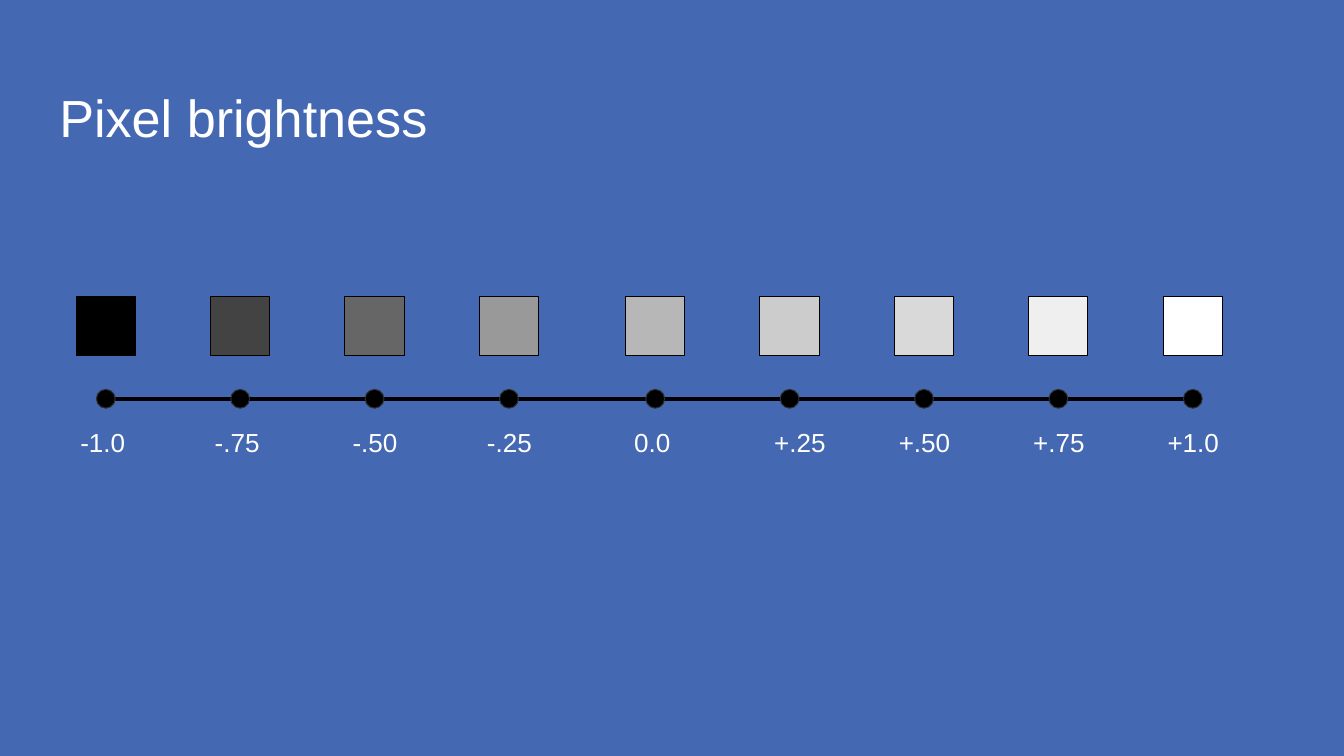
from pptx import Presentation
from pptx.dml.color import RGBColor
from pptx.enum import shapes, text
from pptx.oxml.ns import qn
from pptx.util import Inches, Pt
from lxml import etree

LEVELS = [
    ("-1.0", "000000", 0.76),
    ("-.75", "434343", 0.76),
    ("-.50", "666666", 0.83),
    ("-.25", "999999", 0.83),
    ("0.0", "B7B7B7", 0.76),
    ("+.25", "CCCCCC", 1.03),
    ("+.50", "D9D9D9", 0.83),
    ("+.75", "EFEFEF", 0.83),
    ("+1.0", "FFFFFF", 0.83),
]
FIRST_CENTER, STEP, MIDDLE_GAP = 1.07, 1.36, 0.12
SWATCH, DOT = 0.6, 0.19
AXIS_Y = 4.035


def color(value):
    return RGBColor.from_string(value)


def level_center(i):
    return FIRST_CENTER + i * STEP + (MIDDLE_GAP if i >= len(LEVELS) // 2 else 0)


def add_marker(parent, kind, cx, cy, size, fill, line):
    sp = parent.add_shape(kind, Inches(cx - size / 2), Inches(cy - size / 2),
                          Inches(size), Inches(size))
    sp.shadow.inherit = False
    sp.fill.solid()
    sp.fill.fore_color.rgb = color(fill)
    sp.line.color.rgb = color(line)
    sp.line.width = Pt(0.75)


def add_axis(parent, left, right, y):
    cxn = parent.add_connector(shapes.MSO_CONNECTOR.STRAIGHT, Inches(left), Inches(y),
                               Inches(right), Inches(y))
    cxn.line.color.rgb = color("000000")
    cxn.line.width = Pt(3)
    etree.SubElement(cxn._element.spPr, qn("a:effectLst"))


def add_text(s, content, left, top, width, height, size, align, anchor,
             inset_top=0.14, inset_bottom=0.14):
    box = s.shapes.add_textbox(Inches(left), Inches(top), Inches(width), Inches(height))
    tf = box.text_frame
    tf.word_wrap = True
    tf.vertical_anchor = anchor
    tf.margin_left = tf.margin_right = Inches(0.14)
    tf.margin_top, tf.margin_bottom = Inches(inset_top), Inches(inset_bottom)
    p = tf.paragraphs[0]
    p.alignment = align
    r = p.add_run()
    r.text = content
    r.font.name = "Arial"
    r.font.size = Pt(size)
    r.font.color.rgb = color("FFFFFF")


def main():
    prs = Presentation()
    prs.slide_width, prs.slide_height = Inches(13.6), Inches(7.65)
    s = prs.slides.add_slide(prs.slide_layouts[6])
    s.background.fill.solid()
    s.background.fill.fore_color.rgb = color("4568B2")

    add_text(s, "Pixel brightness", 0.46, 0.66, 12.67, 0.85, 38,
             text.PP_ALIGN.LEFT, text.MSO_ANCHOR.TOP, 0.2, 0.04)

    centers = [level_center(i) for i in range(len(LEVELS))]
    for cx, (_, shade, _) in zip(centers, LEVELS):
        add_marker(s.shapes, shapes.MSO_SHAPE.RECTANGLE, cx, 3.3, SWATCH, shade, "000000")

    scale = s.shapes.add_group_shape().shapes
    add_axis(scale, centers[0] + DOT / 2, centers[-1], AXIS_Y)
    for cx in centers:
        add_marker(scale, shapes.MSO_SHAPE.OVAL, cx, AXIS_Y, DOT, "000000", "303030")

    for cx, (label, _, width) in zip(centers, LEVELS):
        add_text(s, label, cx - 0.41, 4.17, width, 0.6, 19,
                 text.PP_ALIGN.CENTER, text.MSO_ANCHOR.MIDDLE)

    prs.save("out.pptx")


if __name__ == "__main__":
    main()
